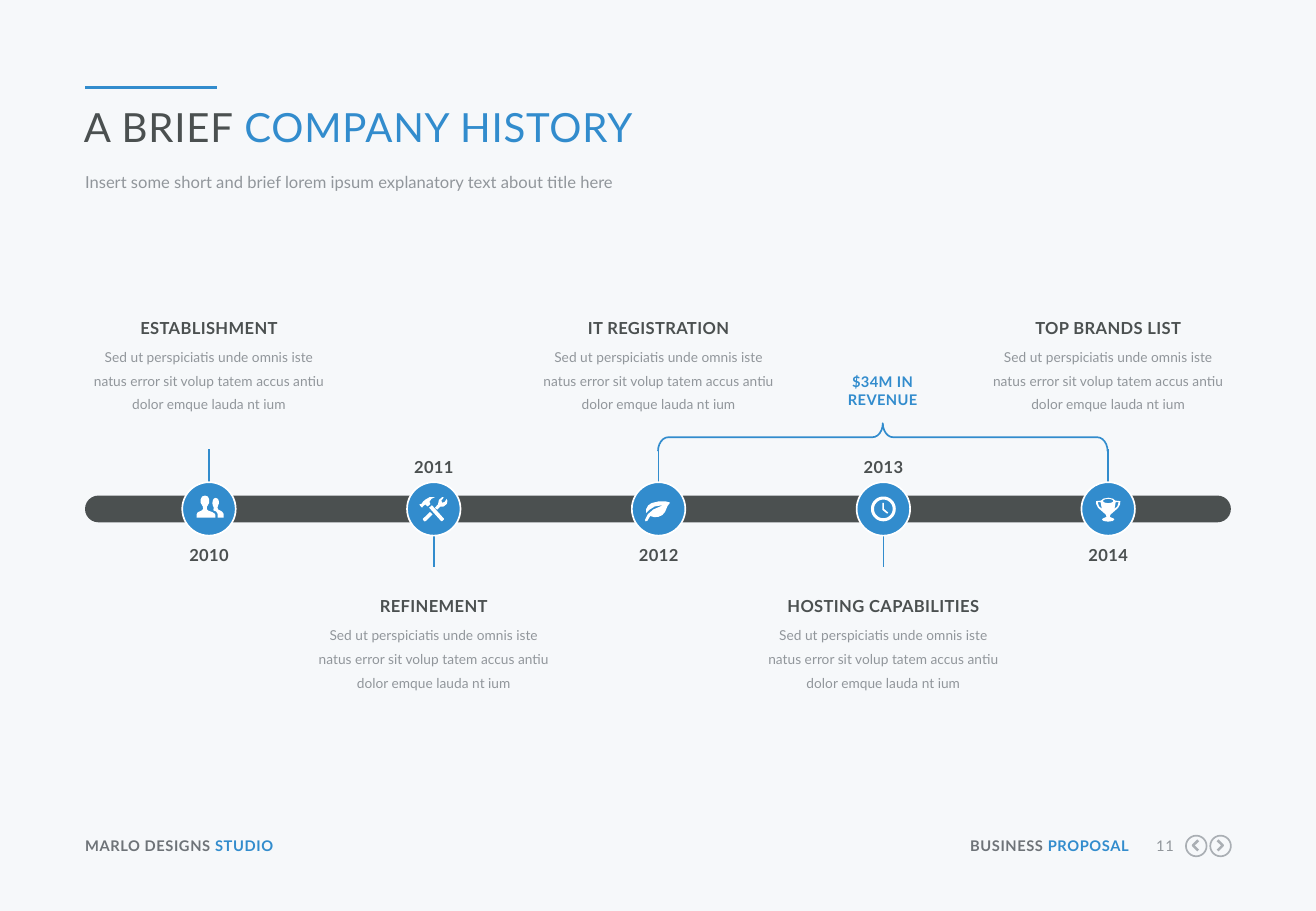
from math import cos, pi, sin

from lxml import etree
from pptx import Presentation
from pptx.dml.color import RGBColor
from pptx.enum.shapes import MSO_CONNECTOR, MSO_SHAPE
from pptx.enum.text import PP_ALIGN
from pptx.oxml.ns import qn
from pptx.util import Pt

PX = 9144  # EMU per px, 100 px to the inch
FINE = PX / 10  # icon outlines are drawn in tenths of a px
LEFT, CENTER, RIGHT = PP_ALIGN.LEFT, PP_ALIGN.CENTER, PP_ALIGN.RIGHT
ELLIPSE, ROUNDED, BRACE = MSO_SHAPE.OVAL, MSO_SHAPE.ROUNDED_RECTANGLE, MSO_SHAPE.LEFT_BRACE
STRAIGHT = MSO_CONNECTOR.STRAIGHT
FONT = "Lato"
COLORS = {
    "background": "F6F8FA", "blue": "328CCD", "dark": "4B5050", "gray": "91969B",
    "footer": "6E7378", "button": "AAAFB4", "white": "FFFFFF",
}
FIRST_X, STEP_X, AXIS_Y, RADIUS = 172, 185, 419, 22
DESCRIPTION = ("Sed ut perspiciatis unde omnis iste natus error sit volup tatem "
               "accus antiu dolor emque lauda nt ium")


def mirror(points):
    return [(-x, y) for x, y in reversed(points)]


def oval(radius_x, radius_y, center_y=0, steps=40):
    angles = [2 * pi * i / steps for i in range(steps)]
    return [(round(radius_x * cos(a)), round(center_y + radius_y * sin(a))) for a in angles]


# Icon outlines, measured from the centre of the milestone
PEOPLE = [
    [(52, 50), (52, 72), (-102, 72), (-102, 45), (-92, 28), (-60, 14), (-48, 2), (-50, -18),
     (-60, -36), (-68, -50), (-68, -80), (-56, -102), (-33, -110), (-10, -102), (2, -80),
     (2, -50), (-6, -36), (-16, -18), (-18, 2), (-6, 14), (30, 28), (48, 40)],
    [(72, 72), (72, 42), (60, 22), (36, 12), (40, -10), (32, -28), (28, -45), (32, -72),
     (42, -86), (55, -90), (68, -86), (80, -72), (82, -45), (75, -28), (70, -10), (76, 6),
     (108, 22), (120, 40), (120, 72)],
]
TOOLS = [
    [(-120, -35), (-97, -10), (-85, -25), (-70, -36), (-50, -20), (-28, -40), (-36, -58),
     (-20, -82), (10, -98), (-32, -98), (-72, -75), (-90, -58), (-98, -44)],
    [(-15, -30), (-38, -10), (60, 100), (70, 100), (83, 87), (83, 80)],
    [(112, -68), (105, -82), (90, -58), (70, -50), (62, -68), (82, -94), (70, -98),
     (42, -74), (35, -38), (10, -10), (28, 6), (52, -18), (82, -20), (108, -42)],
    [(-90, 82), (-88, 92), (-76, 102), (-66, 100), (-10, 45), (-32, 25)],
]
LEAF = [
    [(95, -52), (74, -24), (54, 24), (32, 50), (0, 65), (-35, 68), (-68, 58), (-92, 98),
     (-106, 102), (-112, 92), (-88, 44), (-42, 4), (40, -32), (-32, -20), (-76, 8),
     (-102, 34), (-102, 2), (-86, -28), (-58, -48), (0, -62), (60, -62)],
]
CLOCK = [
    oval(102, 102), oval(77, 77),
    [(-8, -50), (5, -50), (5, 0), (40, 30), (32, 40), (-8, 8)],
]
CUP = [(0, 105), (-36, 100), (-50, 90), (-46, 80), (-14, 66), (-18, 48), (-48, 22), (-82, -8),
       (-98, -38), (-100, -64), (-58, -68), (-40, -84), (0, -92)]
HANDLE = [(-52, 0), (-62, -55), (-86, -55), (-76, -22)]
TROPHY = [CUP + mirror(CUP), HANDLE, mirror(HANDLE), oval(42, 17, -65)]

# Year, heading, icon, whether the description stands above the axis
MILESTONES = [
    ("2010", "ESTABLISHMENT", PEOPLE, True),
    ("2011", "REFINEMENT", TOOLS, False),
    ("2012", "IT REGISTRATION", LEAF, True),
    ("2013", "HOSTING CAPABILITIES", CLOCK, False),
    ("2014", "TOP BRANDS LIST", TROPHY, True),
]


def rgb(name):
    return RGBColor.from_string(COLORS[name])


def paint(shape, fill=None, line=None, width=1):
    shape.shadow.inherit = False
    if fill:
        shape.fill.solid()
        shape.fill.fore_color.rgb = rgb(fill)
    else:
        shape.fill.background()
    if line:
        shape.line.color.rgb = rgb(line)
        shape.line.width = Pt(width)
    else:
        shape.line.fill.background()


def add_text(page, left, top, width, height, spans, size, align=LEFT,
             bold=False, spacing=0, leading=None):
    """Spans are (text, colour) pairs set on one paragraph; spacing is in hundredths of a point."""
    box = page.shapes.add_textbox(left * PX, top * PX, width * PX, height * PX)
    frame = box.text_frame
    frame.word_wrap = True
    frame.margin_left = frame.margin_top = frame.margin_right = frame.margin_bottom = 0
    para = frame.paragraphs[0]
    para.alignment = align
    if leading:
        para.line_spacing = Pt(leading)
    for text, color in spans:
        span = para.add_run()
        span.text = text
        span.font.name = FONT
        span.font.size = Pt(size)
        span.font.bold = bold
        span.font.color.rgb = rgb(color)
        if spacing:
            span.font._element.set("spc", str(spacing))


def add_shape(page, kind, left, top, width, height, fill=None, line=None, line_width=1):
    shape = page.shapes.add_shape(kind, left * PX, top * PX, width * PX, height * PX)
    paint(shape, fill, line, line_width)
    return shape


def add_line(page, x1, y1, x2, y2, width=1):
    line = page.shapes.add_connector(STRAIGHT, x1 * PX, y1 * PX, x2 * PX, y2 * PX)
    line.line.color.rgb = rgb("blue")
    line.line.width = Pt(width)
    etree.SubElement(line._element.spPr, qn("a:effectLst"))


def add_outline(page, center_x, center_y, contours, close=True):
    builder = page.shapes.build_freeform(*contours[0][0], scale=FINE)
    for number, contour in enumerate(contours):
        if number:
            builder.move_to(*contour[0])
        builder.add_line_segments(contour[1:], close=close)
    return builder.convert_to_shape(center_x * PX, center_y * PX)


def add_milestone(page, center, year, heading, icon, above):
    year_top, heading_top = (449, 262) if above else (376, 491)
    edge, end = (AXIS_Y - RADIUS, 370) if above else (AXIS_Y + RADIUS, 467)
    add_text(page, center - 24, year_top, 48, 16, [(year, "dark")], 9.8, CENTER, True, 20)
    add_text(page, center - 95, heading_top, 190, 16, [(heading, "dark")], 9.8, CENTER, True, 20)
    add_text(page, center - 95, heading_top + 19, 190, 59, [(DESCRIPTION, "gray")], 8.1,
             CENTER, leading=14.1)
    add_line(page, center, edge, center, end)
    add_shape(page, ELLIPSE, center - RADIUS, AXIS_Y - RADIUS, 2 * RADIUS, 2 * RADIUS,
              "blue", "white")
    paint(add_outline(page, center, AXIS_Y, icon), "white")


def add_button(page, center_x, center_y, direction):
    add_shape(page, ELLIPSE, center_x - 8, center_y - 8, 17, 17, None, "button")
    arrow = [(-20 * direction, -42), (22 * direction, 0), (-20 * direction, 42)]
    paint(add_outline(page, center_x, center_y, [arrow], close=False), None, "button", 1.5)


def main():
    deck = Presentation()
    deck.slide_width, deck.slide_height = 1083 * PX, 750 * PX
    page = deck.slides.add_slide(deck.slide_layouts[6])
    page.background.fill.solid()
    page.background.fill.fore_color.rgb = rgb("background")

    # Title
    add_line(page, 70, 72, 179, 72, 2.25)
    add_text(page, 69, 84, 942, 41, [("A BRIEF ", "dark"), ("COMPANY HISTORY", "blue")],
             23.8, spacing=50)
    add_text(page, 70, 140, 942, 21,
             [("Insert some short and brief lorem ipsum explanatory text about title here", "gray")],
             9.8, leading=13)

    # Revenue brace between 2012 and 2014
    brace = add_shape(page, BRACE, 715, 175, 23, 370, None, "blue")
    brace.adjustments[0], brace.adjustments[1] = 0.37, 0.5
    brace.rotation = 90
    add_text(page, 683, 307, 87, 29, [("$34M IN REVENUE", "blue")], 8.7, CENTER, True, 20)

    # Timeline
    axis = add_shape(page, ROUNDED, 70, 408, 943, 22, "dark")
    axis.adjustments[0] = 0.5
    for number, milestone in enumerate(MILESTONES):
        add_milestone(page, FIRST_X + number * STEP_X, *milestone)

    # Footer
    add_text(page, 70, 689, 211, 15, [("MARLO DESIGNS ", "footer"), ("STUDIO", "blue")],
             8.7, bold=True, spacing=30)
    add_text(page, 792, 689, 137, 15, [("BUSINESS ", "footer"), ("PROPOSAL", "blue")],
             8.7, RIGHT, True, 30)
    add_text(page, 941, 689, 25, 15, [("11", "gray")], 8.7, RIGHT, spacing=30)
    add_button(page, 984, 696, -1)
    add_button(page, 1004, 696, 1)

    deck.save("out.pptx")


if __name__ == "__main__":
    main()
